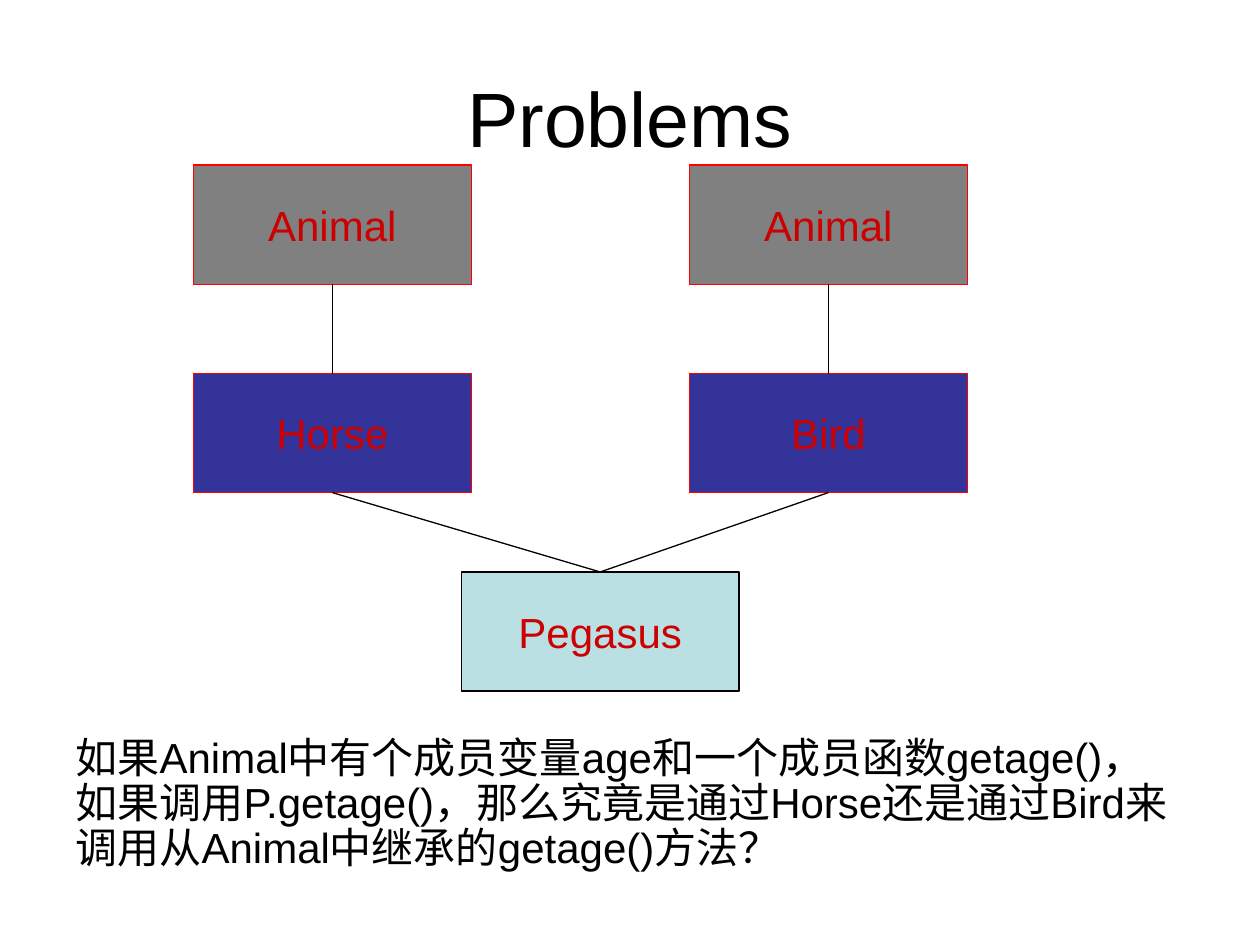
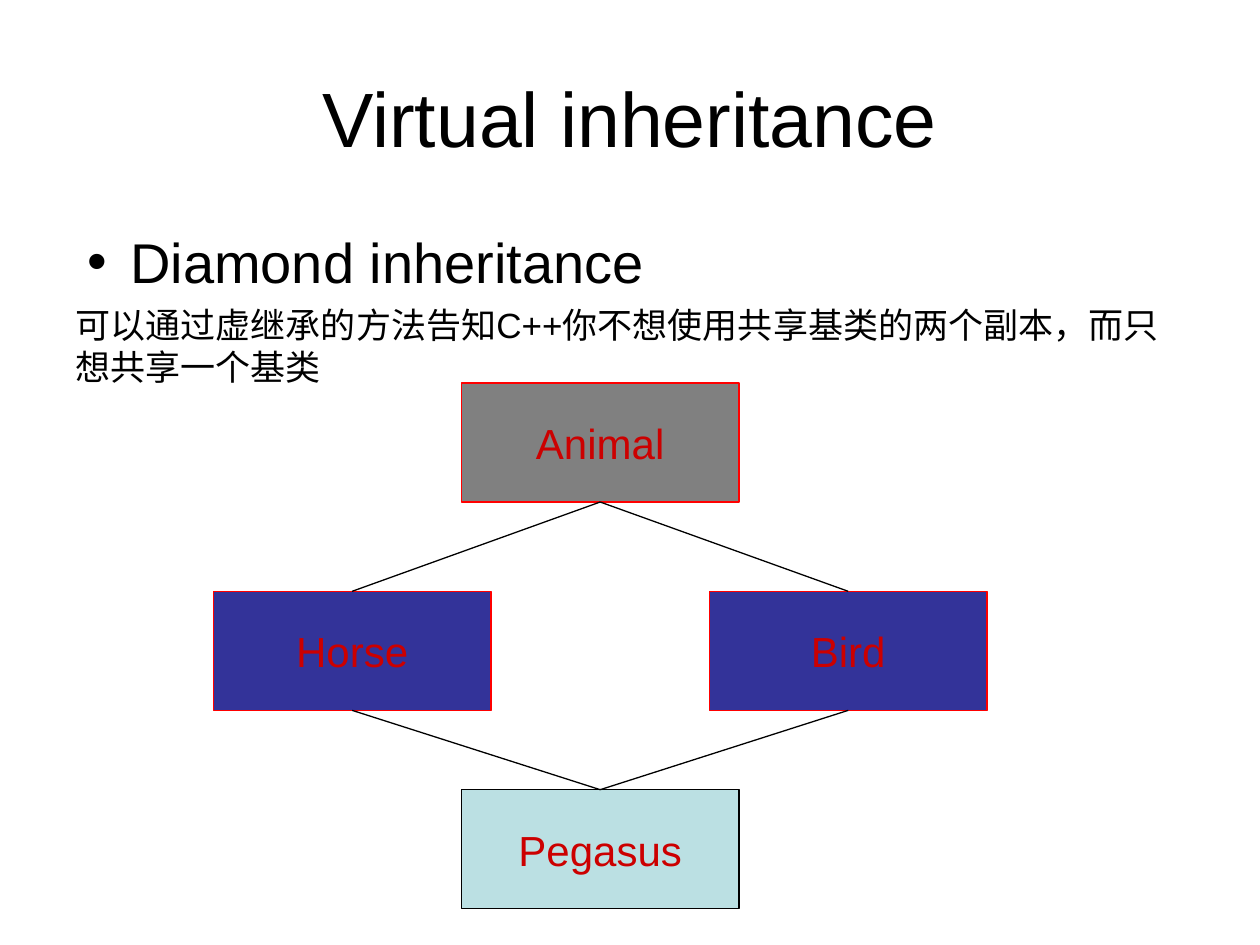
from dataclasses import dataclass
from typing import Any

from lxml import etree
from pptx import Presentation
from pptx import util as u
from pptx.dml.color import RGBColor
from pptx.enum import shapes, text
from pptx.oxml import ns


@dataclass(frozen=True)
class Theme:
    font: str = "Arial"
    ink: str = "000000"
    label: str = "CC0000"
    edge: str = "FF0000"
    base: str = "808080"
    mid: str = "333399"
    leaf: str = "BBE0E3"
    title: int = 44
    list: int = 32
    box: int = 24
    note: int = 20
    line: float = 0.75


@dataclass(frozen=True)
class Box:
    name: str
    mid: float  # centre, cm
    row: int
    fill: str
    edge: str


@dataclass(frozen=True)
class Item:
    words: str
    size: int
    bullet: bool = False
    style: tuple[tuple[str, Any], ...] = ()


@dataclass(frozen=True)
class Page:
    title: str
    area: tuple[float, float]  # top and height of the body, cm
    items: tuple[Item, ...]
    top: float  # top of the first row of boxes, cm
    boxes: tuple[Box, ...]
    links: tuple[tuple[int, int], ...]
    group: bool


T = Theme()
LEFT, WIDE = 1.27, 22.86
BOX_W, BOX_H = 5.6, 2.4
ROWS = (0, 4.2, 8.2)


def put(item: Any, **values: Any) -> None:
    for key, value in values.items():
        setattr(item, key, value)


def ink(font: Any, size: int, tint: str) -> None:
    put(font, name=T.font, size=u.Pt(size))
    font.color.rgb = RGBColor.from_string(tint)


def stroke(line: Any, tint: str) -> None:
    line.color.rgb = RGBColor.from_string(tint)
    line.width = u.Pt(T.line)


def place(shape: Any, top: float, high: float, anchor: Any) -> None:
    put(shape, left=u.Cm(LEFT), top=u.Cm(top), width=u.Cm(WIDE), height=u.Cm(high))
    put(shape.text_frame, word_wrap=True, auto_size=text.MSO_AUTO_SIZE.NONE,
        vertical_anchor=anchor)


def mark(para: Any, bullet: bool) -> None:
    """Set the indent and the bullet of a list paragraph."""
    props = para._p.get_or_add_pPr()
    margin, indent = (1.1, -0.87) if bullet else (0, 0)
    props.set("marL", str(u.Cm(margin)))
    props.set("indent", str(u.Cm(indent)))
    if bullet:
        etree.SubElement(props, ns.qn("a:buChar"), char="•")
    else:
        etree.SubElement(props, ns.qn("a:buNone"))


def add_box(tree: Any, box: Box, top: float) -> Any:
    shape = tree.add_shape(
        shapes.MSO_SHAPE.RECTANGLE, u.Cm(box.mid - BOX_W / 2),
        u.Cm(top + ROWS[box.row]), u.Cm(BOX_W), u.Cm(BOX_H))
    shape.shadow.inherit = False
    shape.fill.solid()
    shape.fill.fore_color.rgb = RGBColor.from_string(box.fill)
    stroke(shape.line, box.edge)
    put(shape.text_frame, text=box.name, word_wrap=False,
        vertical_anchor=text.MSO_ANCHOR.MIDDLE)
    para = shape.text_frame.paragraphs[0]
    para.alignment = text.PP_ALIGN.CENTER
    ink(para.runs[0].font, T.box, T.label)
    return shape


def add_link(tree: Any, upper: Any, lower: Any) -> None:
    line = tree.add_connector(shapes.MSO_CONNECTOR.STRAIGHT, 0, 0, 0, 0)
    line.begin_connect(upper, 2)
    line.end_connect(lower, 0)
    stroke(line.line, T.ink)
    etree.SubElement(line._element.spPr, ns.qn("a:effectLst"))


def add_page(deck: Any, page: Page) -> None:
    slide = deck.slides.add_slide(deck.slide_layouts[1])

    # Title
    title = slide.shapes.title
    place(title, 0.76, 3.18, text.MSO_ANCHOR.MIDDLE)
    title.text_frame.text = page.title
    para = title.text_frame.paragraphs[0]
    para.alignment = text.PP_ALIGN.CENTER
    ink(para.runs[0].font, T.title, T.ink)

    # Body
    body = slide.placeholders[1]
    place(body, *page.area, text.MSO_ANCHOR.TOP)
    frame = body.text_frame
    for spot, item in enumerate(page.items):
        para = frame.add_paragraph() if spot else frame.paragraphs[0]
        mark(para, item.bullet)
        put(para, space_before=u.Pt(5 if spot else 0), **dict(item.style))
        run = para.add_run()
        run.text = item.words
        ink(run.font, item.size, T.ink)

    # Class diagram
    tree = slide.shapes.add_group_shape().shapes if page.group else slide.shapes
    made = [add_box(tree, box, page.top) for box in page.boxes]
    for start, end in page.links:
        add_link(tree, made[start], made[end])


def animal(mid: float) -> Box:
    return Box("Animal", mid, 0, T.base, T.edge)


def family(horse: float, bird: float, leaf: float) -> tuple[Box, ...]:
    return (Box("Horse", horse, 1, T.mid, T.edge),
            Box("Bird", bird, 1, T.mid, T.edge),
            Box("Pegasus", leaf, 2, T.leaf, T.ink))


PAGES = (
    Page("Problems", (14.73, 3),
         (Item("如果Animal中有个成员变量age和一个成员函数getage()，如果调用P.getage()，"
               "那么究竟是通过Horse还是通过Bird来调用从Animal中继承的getage()方法？",
               T.box, style=(("line_spacing", 0.9),)),),
         3.33, family(6.7, 16.7, 12.1) + (animal(6.7), animal(16.7)),
         ((3, 0), (4, 1), (0, 2), (1, 2)), False),
    Page("Virtual inheritance", (4.45, 12.57),
         (Item("Diamond inheritance", T.list, bullet=True),
          Item("可以通过虚继承的方法告知C++你不想使用共享基类的两个副本，"
               "而只想共享一个基类", T.note)),
         7.72, family(7.1, 17.1, 12.1) + (animal(12.1),),
         ((3, 0), (3, 1), (0, 2), (1, 2)), True),
)


def main() -> None:
    deck = Presentation()
    put(deck, slide_width=u.Cm(25.4), slide_height=u.Cm(19.05))
    for page in PAGES:
        add_page(deck, page)
    deck.save("out.pptx")


if __name__ == "__main__":
    main()
